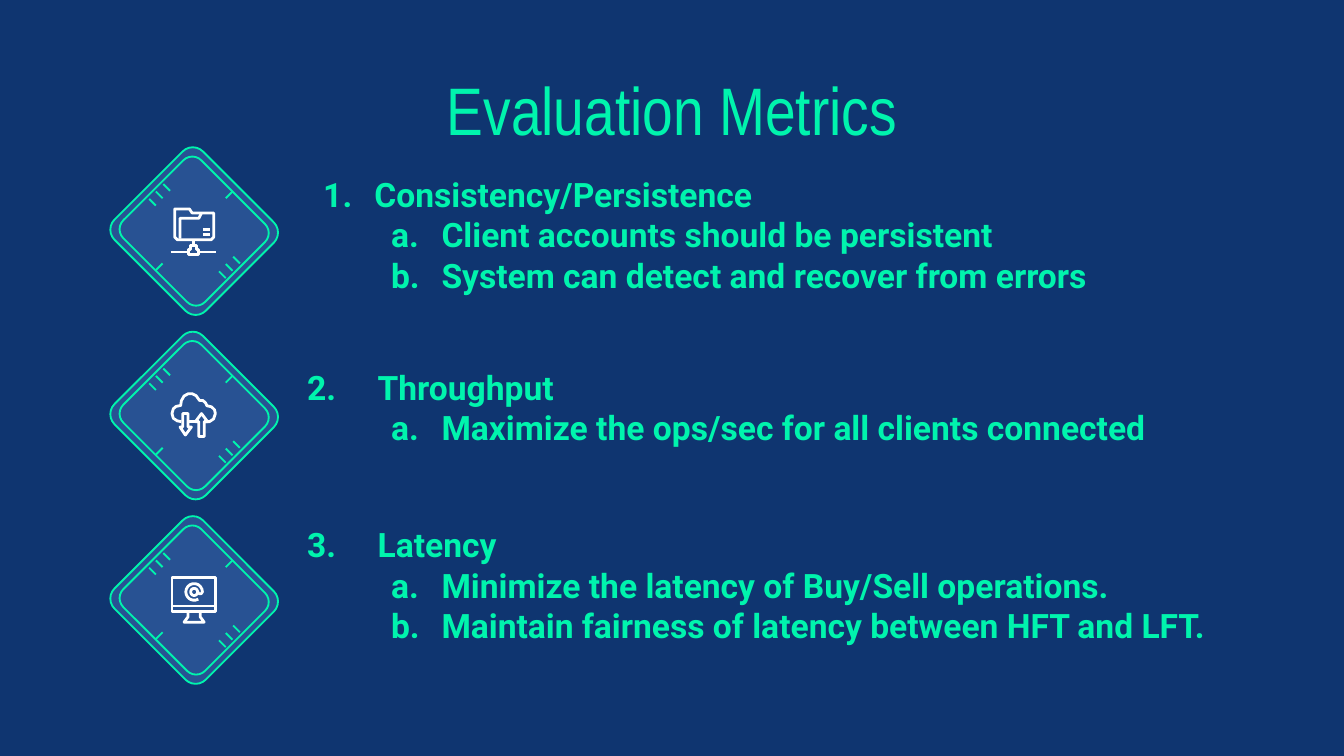
"""Build the Evaluation Metrics slide on a grid of 1000 columns by 562.5 rows."""
from math import cos, sin, radians
from lxml.etree import SubElement
from pptx import Presentation
from pptx.dml.color import RGBColor
from pptx.enum.shapes import MSO_CONNECTOR, MSO_SHAPE
from pptx.enum.text import PP_ALIGN
from pptx.oxml.ns import qn
from pptx.util import Inches, Pt

HUES = {"back": "0F3570", "tile": "285293", "mint": "00F4AD", "icon": "FFFFFF"}
ink = {name: RGBColor.from_string(code) for name, code in HUES.items()}

deck = Presentation()
deck.slide_width = Inches(10)
deck.slide_height = deck.slide_width * 9 // 16
cell = deck.slide_width / 1000
slide = deck.slides.add_slide(deck.slide_layouts[6])
slide.background.fill.solid()
slide.background.fill.fore_color.rgb = ink["back"]
shapes = slide.shapes


def grid(*spans):
    return [round(span * cell) for span in spans]


def write(box, lines, font, size, bold):
    frame = shapes.add_textbox(*grid(*box)).text_frame
    frame.word_wrap = True
    frame.margin_left = frame.margin_right = frame.margin_top = frame.margin_bottom = 0
    frame.text = "\n".join(lines)
    for para in frame.paragraphs:
        face = para.runs[0].font
        face.name, face.size, face.bold = font, Pt(size), bold
        face.color.rgb = ink["mint"]
    return frame.paragraphs


title = write((78.5, 51, 843, 53), ["Evaluation Metrics"], "Arial Narrow", 36, False)
title[0].alignment = PP_ALIGN.CENTER

ring = [(17.5 + 2.6 * cos(radians(a)), 11.5 + 2.6 * sin(radians(a))) for a in range(0, 360, 20)]
curl = [(17.5 + 6.2 * cos(radians(a)), 11.5 + 6.2 * sin(radians(a))) for a in range(60, 361, 20)]
hook = [(22.8, 12.8), (21.2, 12.8), (20.1, 11.5)]

folder = [
    (True, [(3, 1), (14, 1), (16, 4), (32, 4), (32, 22), (30, 24), (5, 24), (3, 22)]),
    (False, [(7, 23), (7, 8), (21, 8), (23, 4)]),
    (False, [(24, 16), (29, 16)]),
    (False, [(24, 20), (29, 20)]),
    (False, [(17, 25), (17, 29)]),
    (True, [(15, 28), (19, 28), (19, 31), (21, 31), (21, 35), (13, 35), (13, 31), (15, 31)]),
    (False, [(0, 33), (13, 33)]),
    (False, [(21, 33), (34, 33)]),
]
cloud = [
    (False, [(8, 22), (5, 21.5), (2, 19.5), (1, 16), (2, 12.5), (4, 10.7), (7.5, 10),
             (8, 6.5), (10, 3), (13, 1.3), (16, 1.2), (19, 2.7), (21.5, 6.2), (24, 6.3),
             (26, 8), (27, 10.2), (30.5, 11), (32.7, 13.2), (33.3, 16), (32, 20),
             (29, 22), (26, 22)]),
    (False, [(14, 22), (20, 22)]),
    (True, [(9, 16), (13, 16), (13, 26), (15.5, 26), (11, 32), (7, 26), (9, 26)]),
    (True, [(23, 16), (27.5, 22), (25, 22), (25, 33), (21, 33), (21, 22), (18.5, 22)]),
]
screen = [
    (True, [(1, 1), (33.5, 1), (33.5, 26), (1, 26)]),
    (False, [(1, 22), (33.5, 22)]),
    (False, [(13, 27), (13, 30), (10, 34), (25, 34), (22, 30), (22, 27)]),
    (True, ring),
    (False, curl + hook),
]

ticks = [(163, 202, 5), (168, 196.5, 5), (173.5, 191, 5), (111, 148, 5), (116, 142.5, 5),
         (121.5, 137, 5), (168, 147.5, -5), (116, 201, -5)]
tiles = [(96, 93, "tile"), (96, 93, None), (86, 82, None)]
pitch = 137.25

for row, icon in enumerate([folder, cloud, screen]):
    drop = row * pitch
    for wide, high, fill in tiles:
        tile = shapes.add_shape(MSO_SHAPE.ROUNDED_RECTANGLE,
                                *grid(144.5 - wide / 2, 172 + drop - high / 2, wide, high))
        tile.adjustments[0] = 0.115
        tile.rotation = 45
        tile.shadow.inherit = False
        if fill:
            tile.fill.solid()
            tile.fill.fore_color.rgb = ink[fill]
            tile.line.fill.background()
        else:
            tile.fill.background()
            tile.line.color.rgb = ink["mint"]
            tile.line.width = Pt(1)
    for left, top, rise in ticks:
        tick = shapes.add_connector(MSO_CONNECTOR.STRAIGHT,
                                    *grid(left, top + drop, left + 5, top + drop + rise))
        tick.line.color.rgb = ink["mint"]
        tick.line.width = Pt(1)
        SubElement(tick._element.spPr, qn("a:effectLst"))
    pen = None
    for close, points in icon:
        spots = [(x * 10, y * 10) for x, y in points]
        if pen is None:
            pen = shapes.build_freeform(*spots[0], scale=cell / 10)
        else:
            pen.move_to(*spots[0])
        pen.add_line_segments(spots[1:], close=close)
    art = pen.convert_to_shape(*grid(127, 154.5 + drop))
    art.shadow.inherit = False
    art.fill.background()
    art.line.color.rgb = ink["icon"]
    art.line.width = Pt(1.5)

topics = [
    (129.5, 118, 50, 38, ["Consistency/Persistence", "Client accounts should be persistent",
                          "System can detect and recover from errors"]),
    (273, 84, 52.5, 52.5, ["2.\tThroughput", "Maximize the ops/sec for all clients connected"]),
    (390, 136, 52.5, 52.5, ["3.\tLatency", "Minimize the latency of Buy/Sell operations.",
                            "Maintain fairness of latency between HFT and LFT."]),
]
for top, high, inset, hang, lines in topics:
    for index, para in enumerate(write((228.5, top, 835, high), lines, "Roboto", 18, True)):
        para.level = min(index, 1)
        left, back = grid(100, 37.5) if index else grid(inset, hang)
        props = para._p.get_or_add_pPr()
        props.set("marL", str(left))
        props.set("indent", str(-back))
        if "\t" in lines[index]:
            continue
        tint = SubElement(props, qn("a:buClr"))
        SubElement(tint, qn("a:srgbClr"), val=HUES["mint"])
        SubElement(props, qn("a:buFont"), typeface="Roboto")
        mark = SubElement(props, qn("a:buAutoNum"))
        mark.set("type", "alphaLcPeriod" if index else "arabicPeriod")

deck.save("out.pptx")
